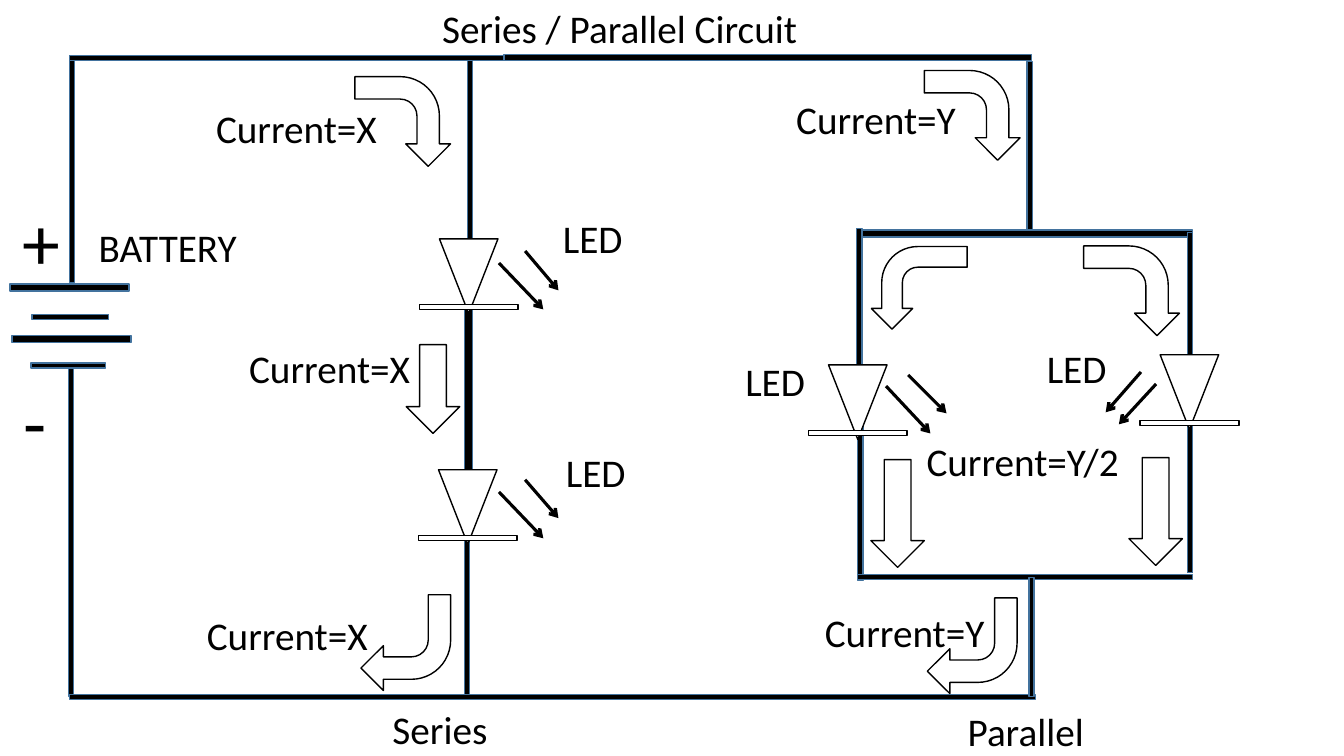
from dataclasses import dataclass

from lxml.etree import SubElement
from pptx import Presentation
from pptx.dml.color import RGBColor
from pptx.enum.shapes import MSO_CONNECTOR as Conn, MSO_SHAPE as Shp
from pptx.enum.text import MSO_ANCHOR as Anchor, MSO_AUTO_SIZE as Auto, PP_ALIGN as Align
from pptx.oxml.ns import qn
from pptx.util import Pt

BLACK, WHITE, EDGE = "000000", "FFFFFF", "43739E"
TRI_W, TRI_H = 41.8, 53.3
BAR_W, BAR_H, BAR_DROP = 70.6, 3.6, 46.8
BENT_W, BENT_H = 64.1, 68.4
FLOW_W = 38.2


@dataclass(frozen=True)
class Box:
    x: float
    y: float
    w: float
    h: float


@dataclass(frozen=True)
class Flow:
    kind: Shp
    box: Box
    rot: float = 0
    flip: bool = False


@dataclass(frozen=True)
class Label:
    text: str
    x: float
    y: float
    w: float
    size: float = 28
    wrap: bool = True


@dataclass(frozen=True)
class Led:
    x: float
    y: float
    rays: tuple[tuple[float, float, float, float], ...]


def rgb(color: str) -> RGBColor:
    return RGBColor.from_string(color)


def place(sp, box: Box) -> None:
    values = {"left": box.x, "top": box.y, "width": box.w, "height": box.h}
    for name, value in values.items():
        setattr(sp, name, Pt(value))


def write(sp, text: str, size: float, wrap: bool = True) -> None:
    tf = sp.text_frame
    frame = {"word_wrap": wrap, "auto_size": Auto.NONE, "vertical_anchor": Anchor.TOP,
             "margin_left": Pt(7.2), "margin_right": Pt(7.2),
             "margin_top": Pt(3.6), "margin_bottom": Pt(3.6)}
    for name, value in frame.items():
        setattr(tf, name, value)
    p = tf.paragraphs[0]
    for name, value in {"alignment": Align.CENTER, "line_spacing": 1.0,
                        "space_before": Pt(0)}.items():
        setattr(p, name, value)
    r = p.add_run()
    r.text = text
    for name, value in {"name": "Calibri", "size": Pt(size), "bold": False}.items():
        setattr(r.font, name, value)
    r.font.color.rgb = rgb(BLACK)


def draw_shape(kind: Shp, box: Box, fill: str = WHITE, line: str = BLACK, rot: float = 0):
    sp = slide.shapes.add_shape(kind, Pt(box.x), Pt(box.y), Pt(box.w), Pt(box.h))
    sp.shadow.inherit = False
    sp.fill.solid()
    sp.fill.fore_color.rgb = rgb(fill)
    sp.line.color.rgb = rgb(line)
    sp.line.width = Pt(1)
    sp.rotation = rot
    return sp


def draw_flow(flow: Flow) -> None:
    sp = draw_shape(flow.kind, flow.box, rot=flow.rot)
    if flow.flip:
        sp._element.spPr.get_or_add_xfrm().set("flipH", "1")


def draw_label(label: Label) -> None:
    box = Box(label.x, label.y, label.w, label.size * 1.22 + 7.2)
    sp = slide.shapes.add_textbox(Pt(box.x), Pt(box.y), Pt(box.w), Pt(box.h))
    write(sp, label.text, label.size, label.wrap)


def draw_ray(x1: float, y1: float, x2: float, y2: float) -> None:
    c = slide.shapes.add_connector(Conn.STRAIGHT, Pt(x1), Pt(y1), Pt(x2), Pt(y2))
    c.line.color.rgb = rgb(BLACK)
    c.line.width = Pt(2.25)
    SubElement(c.line._get_or_add_ln(), qn("a:tailEnd"), type="arrow")
    SubElement(c._element.spPr, qn("a:effectLst"))


def draw_led(led: Led) -> None:
    draw_shape(Shp.ISOSCELES_TRIANGLE, Box(led.x, led.y, TRI_W, TRI_H), rot=180)
    bar_x = led.x + (TRI_W - BAR_W) / 2
    draw_shape(Shp.FLOWCHART_PROCESS, Box(bar_x, led.y + BAR_DROP, BAR_W, BAR_H), rot=180)
    for x1, y1, x2, y2 in led.rays:
        draw_ray(led.x + x1, led.y + y1, led.x + x2, led.y + y2)


def bent(x: float, y: float, rot: float, w: float = BENT_W, flip: bool = False) -> Flow:
    return Flow(Shp.BENT_ARROW, Box(x, y, w, BENT_H), rot, flip)


def down(x: float, y: float, h: float) -> Flow:
    return Flow(Shp.DOWN_ARROW, Box(x, y, FLOW_W, h))


PLATES = [
    Box(7.2, 203, 85, 5), Box(23, 224.6, 54.7, 3.6),
    Box(8.6, 239.8, 85, 5), Box(22.3, 259.2, 53.3, 3.6),
]
WIRES = [
    Box(49.7, 41.8, 3.6, 159.8), Box(49, 262.8, 3.6, 234.7),
    Box(49.7, 39.6, 312.5, 3.6), Box(360, 38.9, 376.6, 4.3),
    Box(334.1, 43.2, 3.6, 136.1), Box(331.9, 220.3, 5.8, 116.6),
    Box(331.9, 380.2, 3.6, 117.4), Box(49.7, 496.1, 689.8, 3.6),
    Box(733.7, 43.9, 3.6, 124.6), Box(612.7, 164.2, 239, 5),
    Box(612, 163.4, 3.6, 117.4), Box(848.2, 166.3, 3.6, 117.4),
    Box(612.7, 297.4, 3.6, 117.4), Box(848.2, 291.6, 3.6, 117.4),
    Box(612.7, 410.4, 239, 3.6), Box(735.1, 412.6, 3.6, 85),
]
FLOWS = [
    bent(255.6, 52.6, 90), bent(662.4, 48.2, 90), bent(776.2, 173.5, 90),
    bent(627.1, 171.4, 270, w=59, flip=True),
    bent(257.8, 424.8, 180), bent(662.4, 427, 180),
    down(290.2, 246.2, 63.4), down(622.1, 328.3, 77), down(806.4, 326.9, 77),
]
LABELS = [
    Label("+", 5.8, 135.4, 47.5, 54), Label("-", 1.4, 264.2, 47.5, 54),
    Label("BATTERY", 59, 156.2, 121.7),
    Label("Series", 253.4, 500.4, 121.7), Label("Parallel", 671.8, 501.8, 121.7),
    Label("Current=X", 142.6, 71.3, 138.2), Label("Current=X", 166.3, 242.6, 138.2),
    Label("Current=X", 136.1, 433.4, 138.2),
    Label("Current=Y", 556.6, 64.8, 138.2), Label("Current=Y", 580.3, 431.3, 131.8),
    Label("Current=Y/2", 654.5, 308.9, 151.9),
    Label("LED", 394.6, 149.8, 57.6, wrap=False),
    Label("LED", 396.7, 316.8, 57.6, wrap=False),
    Label("LED", 524.9, 252, 57.6, wrap=False),
    Label("LED", 740.2, 242.6, 57.6, wrap=False),
]
LEDS = [
    Led(313.9, 170.6, ((61.2, 8.7, 85, 36.8), (42.5, 17.3, 74.2, 50.4))),
    Led(313.2, 335.5, ((61.9, 7.2, 85.7, 34.6), (43.2, 15.9, 74.9, 49))),
    Led(591.8, 260.6, ((56.9, 7.2, 84.3, 34.6), (41.1, 15.2, 72.8, 49))),
    Led(828.7, 253.4, ((-2.9, 20.9, -29.5, 49.7), (-13.7, 12.3, -38.9, 41.1))),
]

prs = Presentation()
prs.slide_width, prs.slide_height = Pt(960), Pt(540)
slide = prs.slides.add_slide(prs.slide_layouts[5])
title = slide.shapes.title
place(title, Box(158.4, -0.7, 568.1, 41.2))
write(title, "Series / Parallel Circuit", 28)

for plate in PLATES:
    draw_shape(Shp.RECTANGLE, plate, BLACK, EDGE)
for wire in WIRES:
    draw_shape(Shp.FLOWCHART_PROCESS, wire, BLACK, EDGE)
for flow in FLOWS:
    draw_flow(flow)
for label in LABELS:
    draw_label(label)
for led in LEDS:
    draw_led(led)

prs.save("out.pptx")
